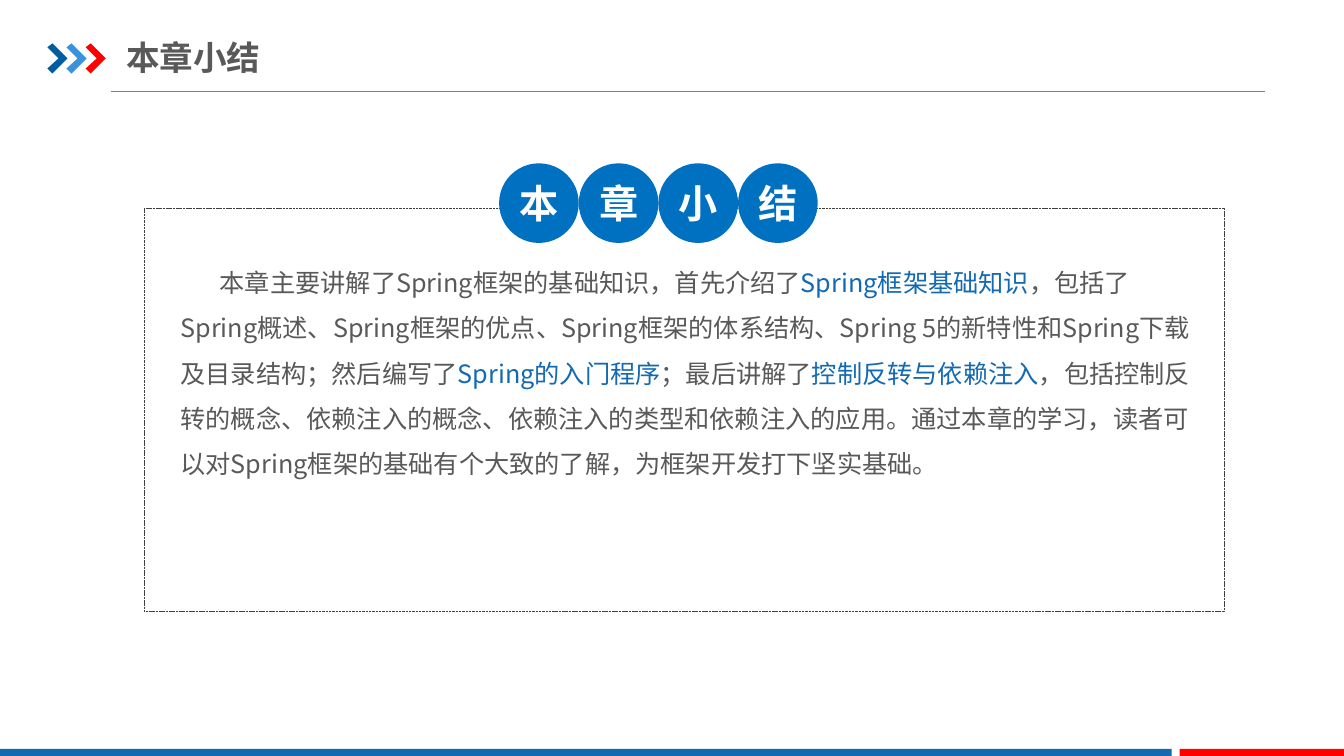
from lxml.etree import SubElement
from pptx import Presentation
from pptx.dml.color import RGBColor
from pptx.enum.dml import MSO_LINE
from pptx.enum.shapes import MSO_CONNECTOR, MSO_SHAPE as SHAPE
from pptx.enum.text import MSO_ANCHOR as ANCHOR, MSO_AUTO_SIZE as AUTO, PP_ALIGN as ALIGN
from pptx.oxml.ns import qn
from pptx.util import Inches, Pt

FONT = "Noto Sans CJK SC"
GREY, BLUE, RED, WHITE = "595959", "1369B2", "FF0000", "FFFFFF"
SUMMARY = [
    ("本章主要讲解了Spring框架的基础知识，首先介绍了", GREY),
    ("Spring框架基础知识", BLUE),
    ("，包括了Spring概述、Spring框架的优点、Spring框架的体系结构、"
     "Spring 5的新特性和Spring下载及目录结构；然后编写了", GREY),
    ("Spring的入门程序", BLUE),
    ("；最后讲解了", GREY),
    ("控制反转与依赖注入", BLUE),
    ("，包括控制反转的概念、依赖注入的概念、依赖注入的类型和依赖注入的应用。"
     "通过本章的学习，读者可以对Spring框架的基础有个大致的了解，为框架开发打下坚实基础。", GREY),
]


def paint(target, color):
    """Give a fill a solid colour from a hex string."""
    target.solid()
    target.fore_color.rgb = RGBColor.from_string(color)


def add_text(paragraph, text, size=18, color=GREY, bold=False):
    """Append a formatted run to a paragraph."""
    run = paragraph.add_run()
    run.text = text
    run.font.size, run.font.bold, run.font.name = Pt(size), bold, FONT
    paint(run.font.fill, color)
    east_asian = run.font._element.makeelement(qn("a:ea"), {"typeface": FONT})
    run.font._element.find(qn("a:latin")).addnext(east_asian)


def set_frame(frame, side=0.0, anchor=ANCHOR.MIDDLE, wrap=True, auto_size=AUTO.NONE):
    """Set the margins, anchor and wrapping of a text frame."""
    frame.margin_left = frame.margin_right = Inches(side)
    frame.margin_top = frame.margin_bottom = Inches(0.07)
    frame.vertical_anchor, frame.word_wrap, frame.auto_size = anchor, wrap, auto_size


def add_block(slide, kind, left, top, width, height, color=None):
    """Add a flat preset shape without outline, filled if a colour is given."""
    block = slide.shapes.add_shape(kind, Inches(left), Inches(top), Inches(width), Inches(height))
    block.shadow.inherit = False
    block.line.fill.background()
    if color:
        paint(block.fill, color)
    else:
        block.fill.background()
    return block


def add_header(slide, left, top, width):
    """Place the three chevrons, the title and the rule beneath it."""
    rule_top = top + 0.48
    rule = slide.shapes.add_connector(MSO_CONNECTOR.STRAIGHT, Inches(left + 0.63), Inches(rule_top),
                                      Inches(left + width), Inches(rule_top))
    paint(rule.line.fill, "808080")
    rule.line.width = Pt(0.5)
    SubElement(rule._element.spPr, qn("a:effectLst"))

    outline = [(0, 0.04), (0.05, 0), (0.2, 0.15), (0.05, 0.3), (0, 0.25), (0.11, 0.15)]
    for index, color in enumerate(["005DA2", "3992DB", RED]):
        points = [(Inches(left + index * 0.19 + x), Inches(top + y)) for x, y in outline]
        builder = slide.shapes.build_freeform(*points[0])
        builder.add_line_segments(points[1:], close=True)
        chevron = builder.convert_to_shape()
        chevron.shadow.inherit = False
        chevron.line.fill.background()
        paint(chevron.fill, color)

    title = slide.shapes.title
    title.left, title.top = Inches(left + 0.78), Inches(top - 0.14)
    title.width, title.height = Inches(4.26), Inches(0.55)
    set_frame(title.text_frame)
    heading = title.text_frame.paragraphs[0]
    heading.alignment = ALIGN.LEFT
    add_text(heading, "本章小结", size=24, bold=True)


def add_summary(slide, left, top, width, height):
    """Place the dashed box, its row of lettered circles and the summary."""
    border = add_block(slide, SHAPE.ROUNDED_RECTANGLE, left, top, width, height)
    border.adjustments[0] = 0
    paint(border.line.fill, "404040")
    border.line.width = Pt(0.25)
    border.line.dash_style = MSO_LINE.SQUARE_DOT

    diameter = 0.79
    for index, letter in enumerate("本章小结"):
        circle = add_block(slide, SHAPE.OVAL, left + 3.52 + index * diameter, top - 0.45,
                           diameter, diameter, "0070C0")
        set_frame(circle.text_frame, wrap=False)
        label = circle.text_frame.paragraphs[0]
        label.alignment = ALIGN.CENTER
        add_text(label, letter, size=28, color=WHITE, bold=True)

    summary = slide.shapes.add_textbox(Inches(left + 0.23), Inches(top + 0.36),
                                       Inches(width - 0.32), Inches(2.35))
    set_frame(summary.text_frame, side=0.13, anchor=ANCHOR.TOP, auto_size=AUTO.SHAPE_TO_FIT_TEXT)
    paragraph = summary.text_frame.paragraphs[0]
    paragraph.line_spacing = 1.5
    paragraph._p.get_or_add_pPr().set("indent", str(Inches(0.39)))
    for text, color in SUMMARY:
        add_text(paragraph, text, color=color)


def add_footer(slide, left, top, width, height):
    """Place the blue and red bars along the bottom edge."""
    red_width = 1.63
    add_block(slide, SHAPE.RECTANGLE, left, top, width - red_width - 0.08, height, BLUE)
    add_block(slide, SHAPE.RECTANGLE, left + width - red_width, top, red_width, height, RED)


def main():
    """Build and save the chapter summary slide."""
    deck = Presentation()
    deck.slide_width, deck.slide_height = Inches(13.33), Inches(7.5)
    slide = deck.slides.add_slide(deck.slide_layouts[5])
    add_header(slide, 0.47, 0.43, 12.08)
    add_footer(slide, 0, 7.43, 13.33, 0.09)
    add_summary(slide, 1.43, 2.07, 10.71, 3.99)
    deck.save("out.pptx")


if __name__ == "__main__":
    main()
